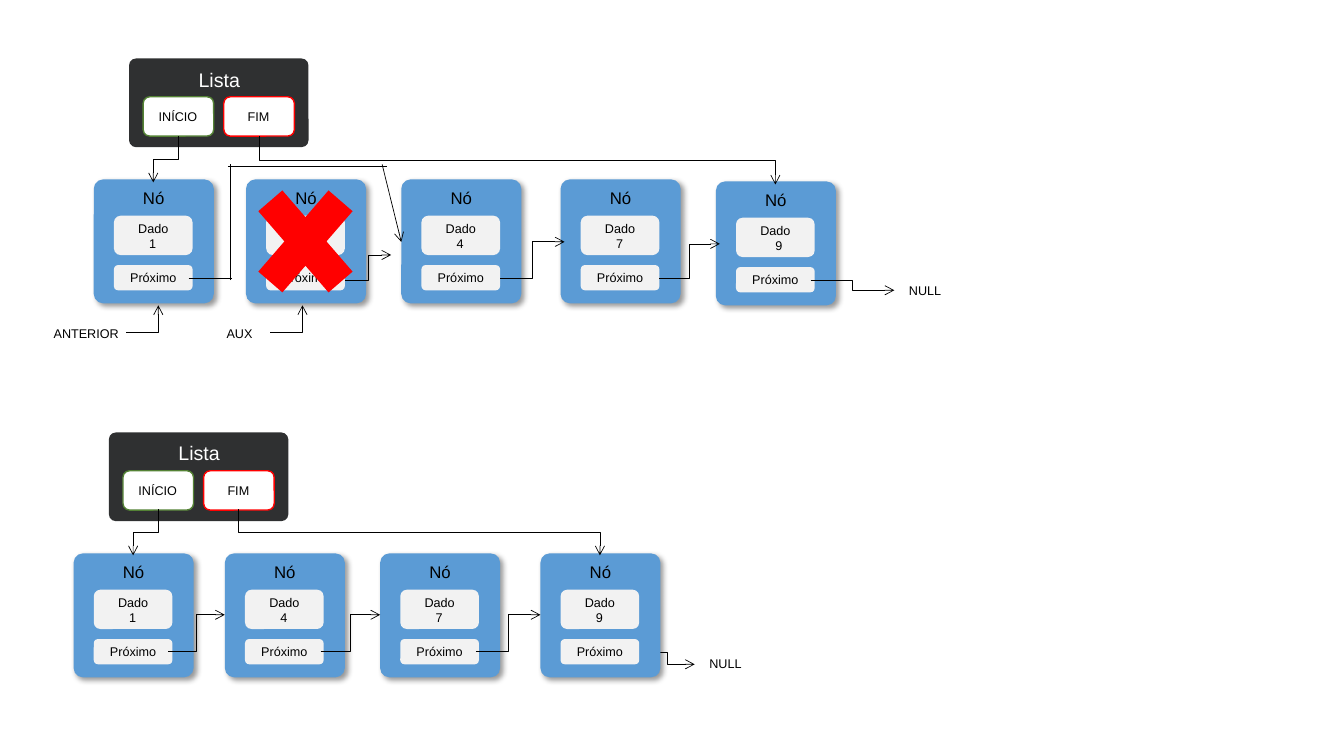
from lxml import etree
from pptx import Presentation, dml, util as u
from pptx.dml import color
from pptx.enum import shapes, text
from pptx.oxml import ns

HUES = {"node": "5B9BD5", "cell": "F2F2F2", "list": "2F3031", "white": "FFFFFF",
        "black": "000000", "red": "FF0000", "green": "548235"}
ROUND = shapes.MSO_SHAPE.ROUNDED_RECTANGLE

deck = Presentation()
deck.slide_width, deck.slide_height = u.Inches(13.33), u.Inches(7.5)
slide = deck.slides.add_slide(deck.slide_layouts[6])


def box(home, left, top, wide, high, fill, line=None, form=ROUND):
    item = home.add_shape(form, *map(u.Inches, (left, top, wide, high)))
    item.shadow.inherit = False
    item.fill.solid()
    item.fill.fore_color.rgb = color.RGBColor.from_string(HUES[fill])
    if line:
        item.line.color.rgb = color.RGBColor.from_string(HUES[line])
        item.line.width = u.Pt(1)
    else:
        item.line.fill.background()
    return item


def label(home, words, left, top, wide, high=0.25, size=9, hue="black"):
    frame = home.add_textbox(*map(u.Inches, (left, top, wide, high))).text_frame
    frame.word_wrap = True
    frame.margin_left = frame.margin_right = 0
    frame.text = words
    para = frame.paragraphs[0]
    para.alignment = text.PP_ALIGN.CENTER
    font = para.runs[0].font
    font.name, font.size = "Arial", u.Pt(size)
    font.color.rgb = color.RGBColor.from_string(HUES[hue])


nodes = [
    (0.93, 1.78, "1"), (2.44, 1.78, ""), (3.98, 1.78, "4"), (5.56, 1.78, "7"), (7.1, 1.8, "9"),
    (0.73, 5.49, "1"), (2.23, 5.49, "4"), (3.77, 5.49, "7"), (5.36, 5.49, "9"),
]
for x, y, value in nodes:
    group = slide.shapes.add_group_shape().shapes
    body = box(group, x, y, 1.19, 1.23, "node")
    body.adjustments[0] = 0.078
    glow = body._element.spPr.find(ns.qn("a:effectLst"))
    shade = etree.SubElement(glow, ns.qn("a:outerShdw"), blurRad="50800", dist="38100",
                             dir="2700000", algn="tl", rotWithShape="0")
    tint = etree.SubElement(shade, ns.qn("a:srgbClr"), val=HUES["black"])
    etree.SubElement(tint, ns.qn("a:alpha"), val="40000")
    label(group, "Nó", x + 0.38, y + 0.03, 0.43, 0.3, 12)
    box(group, x + 0.2, y + 0.85, 0.78, 0.25, "cell")
    label(group, "Próximo", x + 0.24, y + 0.85, 0.7)
    box(group, x + 0.2, y + 0.36, 0.78, 0.39, "cell")
    if value:
        label(group, "Dado", x + 0.32, y + 0.36, 0.54)
        label(group, value, x + 0.45, y + 0.51, 0.35 if y == 1.8 else 0.27)

for x, y in [(1.28, 0.58), (1.08, 4.29)]:
    group = slide.shapes.add_group_shape().shapes
    box(group, x, y, 1.78, 0.88, "list").adjustments[0] = 0.078
    for words, shift, hue in [("FIM", 0.94, "red"), ("INÍCIO", 0.14, "green")]:
        box(group, x + shift, y + 0.38, 0.7, 0.39, "white", hue)
        label(group, words, x + shift + 0.03, y + 0.45, 0.63)
    label(group, "Lista", x + 0.55, y + 0.04, 0.69, 0.34, 14, "white")

for words, x, y, wide in [("NULL", 8.87, 2.76, 0.61), ("AUX", 2.07, 3.18, 0.61),
                          ("ANTERIOR", 0.4, 3.18, 0.91), ("NULL", 6.89, 6.46, 0.61)]:
    label(slide.shapes, words, x, y, wide)

links = [
    ("drop", 1.77, 1.35, 1.52, 1.81), ("drop", 2.57, 1.35, 7.69, 1.83),
    ("step", 3.42, 2.78, 3.88, 2.53), ("step", 4.96, 2.76, 5.6, 2.4),
    ("step", 6.54, 2.76, 7.14, 2.42), ("step", 8.04, 2.78, 8.87, 2.88),
    ("turn", 2.68, 3.3, 3, 3.03), ("turn", 1.25, 3.3, 1.57, 3.03),
    ("line", 1.87, 2.76, 2.3, 2.76), ("line", 2.28, 2.78, 2.28, 1.63),
    ("line", 2.26, 1.65, 3.84, 1.65), ("arrow", 3.79, 1.63, 3.98, 2.4),
    ("drop", 1.57, 5.05, 1.32, 5.51), ("drop", 2.36, 5.05, 5.95, 5.51),
    ("step", 1.67, 6.46, 2.23, 6.1), ("step", 3.18, 6.46, 3.77, 6.1),
    ("step", 4.72, 6.46, 5.36, 6.1), ("step", 6.34, 6.47, 6.89, 6.59),
]
for kind, x1, y1, x2, y2 in links:
    ends = x1, y1, x2, y2
    if kind == "drop":
        midx, midy = (x1 + x2) / 2, (y1 + y2) / 2
        halfx, halfy = (x2 - x1) / 2, (y2 - y1) / 2
        ends = midx - halfy, midy + halfx, midx + halfy, midy - halfx
    form = "STRAIGHT" if kind in ("line", "arrow") else "ELBOW"
    wire = slide.shapes.add_connector(shapes.MSO_CONNECTOR[form], *map(u.Inches, ends))
    wire.line.color.rgb = color.RGBColor.from_string(HUES["black"])
    wire.line.width = u.Pt(0.5)
    props = wire._element.spPr
    etree.SubElement(props, ns.qn("a:effectLst"))
    if kind == "drop":
        props.find(ns.qn("a:xfrm")).set("rot", "5400000")
    if kind == "turn":
        props.find(ns.qn("a:prstGeom")).set("prst", "bentConnector2")
    if kind != "line":
        etree.SubElement(props.find(ns.qn("a:ln")), ns.qn("a:tailEnd"), type="arrow")
slide.shapes._spTree.insert(2, wire._element)

box(slide.shapes, 2.36, 1.62, 1.34, 1.55, "red", form=shapes.MSO_SHAPE.MATH_MULTIPLY)

deck.save("out.pptx")
